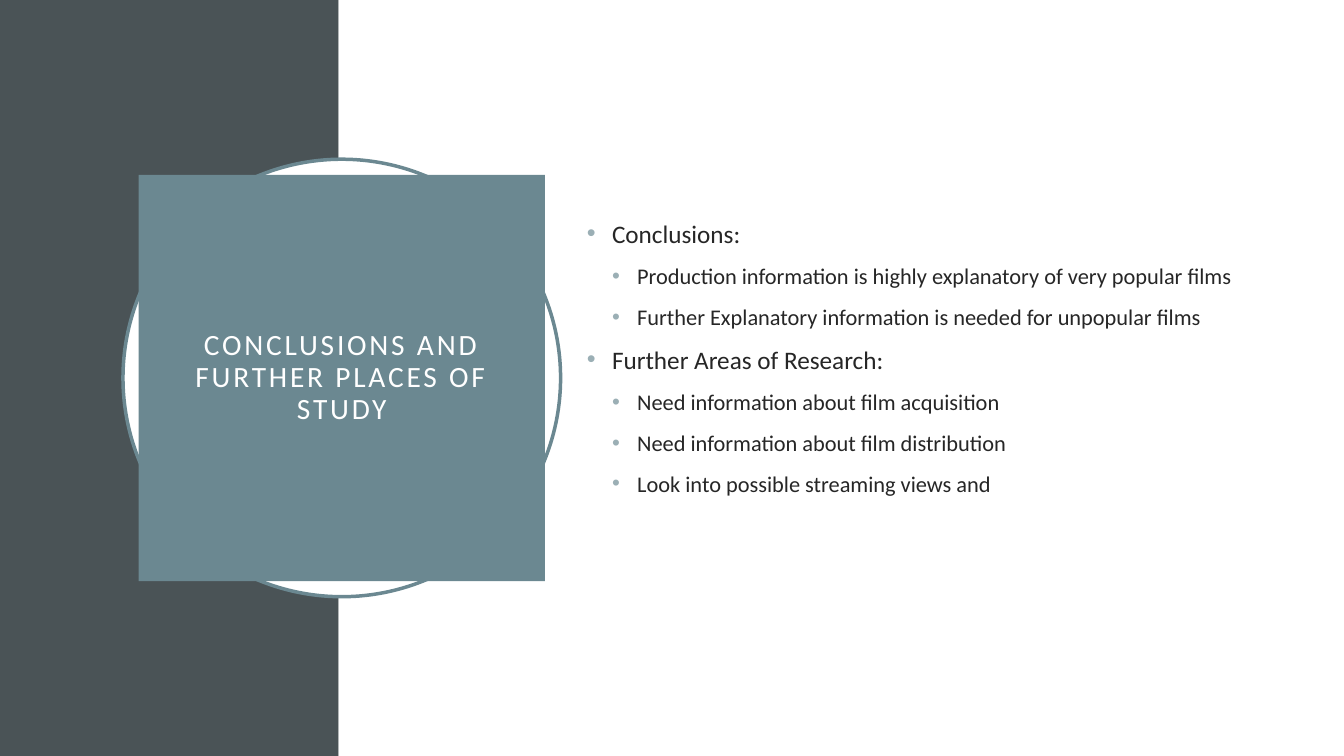
"""Build the closing slide: a framed title on the left and a two-level list on the right."""
import pptx
import pptx.util
import pptx.dml.color
import pptx.enum.shapes
import pptx.enum.text
import pptx.oxml.ns
import lxml.etree

Inches, Pt = pptx.util.Inches, pptx.util.Pt
Shape = pptx.enum.shapes.MSO_SHAPE
WIDTH, HEIGHT = 13.33, 7.5
BAND = 3.36
CENTER_X, CENTER_Y = 3.39, HEIGHT / 2
RING, SQUARE = 4.34, 4.03
LIST_LEFT = 5.72
POINTS = [
    (0, "Conclusions:"),
    (1, "Production information is highly explanatory of very popular films"),
    (1, "Further Explanatory information is needed for unpopular films"),
    (0, "Further Areas of Research:"),
    (1, "Need information about film acquisition"),
    (1, "Need information about film distribution"),
    (1, "Look into possible streaming views and"),
]


def color(value):
    return pptx.dml.color.RGBColor.from_string(value)


def centered(size):
    return [Inches(v) for v in (CENTER_X - size / 2, CENTER_Y - size / 2, size, size)]


deck = pptx.Presentation()
deck.slide_width, deck.slide_height = Inches(WIDTH), Inches(HEIGHT)
page = deck.slides.add_slide(deck.slide_layouts[1])
title, body = page.placeholders

band = [Inches(v) for v in (0, 0, BAND, HEIGHT)]
panel = [Inches(v) for v in (BAND, 0, WIDTH - BAND, HEIGHT)]
for kind, place, fill, line in [
    (Shape.RECTANGLE, band, "4A5356", None),
    (Shape.RECTANGLE, panel, "FFFFFF", None),
    (Shape.OVAL, centered(RING), "FFFFFF", "6B8891"),
]:
    shape = page.shapes.add_shape(kind, *place)
    shape.shadow.inherit = False
    shape.fill.solid()
    shape.fill.fore_color.rgb = color(fill)
    if line:
        shape.line.color.rgb = color(line)
        shape.line.width = Pt(2.5)
    else:
        shape.line.fill.background()

list_place = [Inches(v) for v in (LIST_LEFT, 0, WIDTH - LIST_LEFT, HEIGHT)]
for holder, place in [(title, centered(SQUARE)), (body, list_place)]:
    page.shapes._spTree.append(holder._element)
    holder.left, holder.top, holder.width, holder.height = place
    frame = holder.text_frame
    frame.word_wrap = True
    frame.auto_size = pptx.enum.text.MSO_AUTO_SIZE.NONE
    frame.vertical_anchor = pptx.enum.text.MSO_ANCHOR.MIDDLE

title.fill.solid()
title.fill.fore_color.rgb = color("6B8891")
frame = title.text_frame
frame.margin_left = frame.margin_right = frame.margin_top = frame.margin_bottom = Inches(0.2)
frame.text = "CONCLUSIONS AND FURTHER PLACES OF STUDY"
para = frame.paragraphs[0]
para.alignment = pptx.enum.text.PP_ALIGN.CENTER
para.line_spacing = 0.9
span = para.runs[0]
span.font.size, span.font.name = Pt(21), "Calibri"
span.font.color.rgb = color("FFFFFF")
span.font._element.set("spc", "200")

frame = body.text_frame
frame.margin_bottom = Inches(0.46)
frame.text = "\n".join(text for level, text in POINTS)
for para, (level, text) in zip(frame.paragraphs, POINTS):
    para.level = level
    para.line_spacing = 1.0
    para.space_before, para.space_after = Pt(10), Pt(0)
    font = para.runs[0].font
    font.size, font.name = Pt(18 - 2 * level), "Calibri"
    font.color.rgb = color("262626")
    properties = para._p.get_or_add_pPr()
    properties.set("marL", str(Inches(0.25 * (level + 1))))
    properties.set("indent", str(Inches(-0.25)))
    qn = pptx.oxml.ns.qn
    tint = lxml.etree.SubElement(properties, qn("a:buClr"))
    lxml.etree.SubElement(tint, qn("a:srgbClr"), val="9BAFB5")
    lxml.etree.SubElement(properties, qn("a:buFont"), typeface="Arial")
    lxml.etree.SubElement(properties, qn("a:buChar"), char="•")

deck.save("out.pptx")
